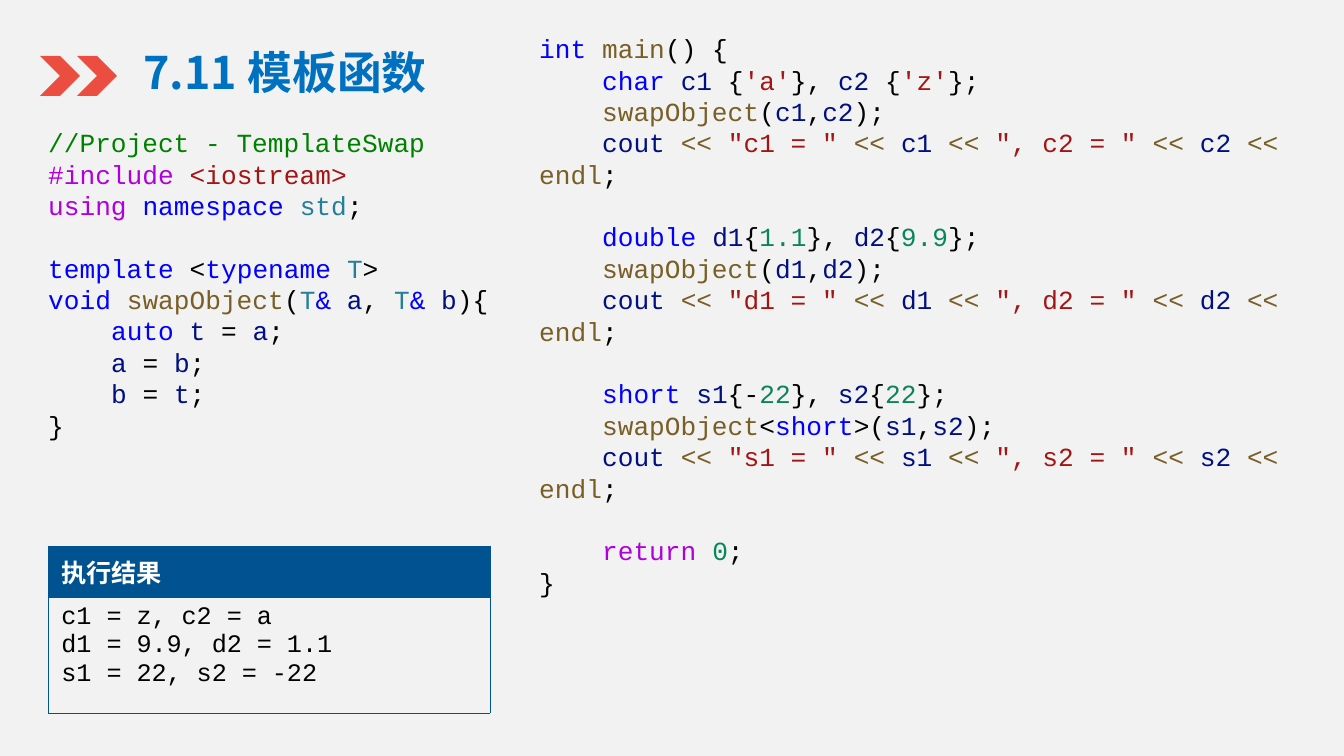
import pptx
import pptx.dml.color
import pptx.enum.shapes
import pptx.enum.text
import pptx.oxml
import pptx.oxml.ns
import pptx.util

EMU_PER_PX = 914400 / 134.4
CODE_FONT = "Courier New"
TITLE_FONT = "Noto Sans CJK JP"
CODE_LINE = pptx.util.Pt(16.8)
NAVY = "005390"

# One letter for each kind of code token.
TOKEN_COLORS = {
    "p": "000000",  # punctuation
    "k": "0000FF",  # keyword
    "d": "AF00DB",  # directive and control flow
    "f": "795E26",  # function and stream operator
    "v": "001080",  # variable
    "t": "267F99",  # type
    "s": "A31515",  # string
    "n": "098658",  # number
    "c": "008000",  # comment
}

TEMPLATE_CODE = [
    "~c//Project - TemplateSwap",
    "~d#include ~s<iostream>",
    "~dusing ~knamespace ~tstd~p;",
    "",
    "~ktemplate ~p<~ktypename ~tT~p>",
    "~kvoid ~fswapObject~p(~tT~k& ~va~p, ~tT~k& ~vb~p){",
    "~p    ~kauto ~vt~p = ~va~p;",
    "~p    ~va~p = ~vb~p;",
    "~p    ~vb~p = ~vt~p;",
    "~p}",
]


def px(value):
    return pptx.util.Emu(round(value * EMU_PER_PX))


def rgb(color):
    return pptx.dml.color.RGBColor.from_string(color)


def set_font(font, color, **values):
    font.color.rgb = rgb(color)
    for name, value in values.items():
        setattr(font, name, value)


def swap_test(declaration, name, template_argument=""):
    """Return the marked-up lines that swap and print one pair of variables."""
    first, second = name + "1", name + "2"
    return [
        f"~p    {declaration}",
        f"~p    ~fswapObject{template_argument}~p(~v{first}~p,~v{second}~p);",
        f'~p    ~vcout ~f<< ~s"{first} = " ~f<< ~v{first} ~f<< '
        f'~s", {second} = " ~f<< ~v{second} ~f<< endl~p;',
        "",
    ]


def add_title(slide, text, left, top, width, height):
    title = slide.shapes.title
    title.left, title.top, title.width, title.height = map(px, (left, top, width, height))
    frame = title.text_frame
    frame.vertical_anchor = pptx.enum.text.MSO_ANCHOR.MIDDLE
    paragraph = frame.paragraphs[0]
    paragraph.alignment = pptx.enum.text.PP_ALIGN.LEFT
    run = paragraph.add_run()
    run.text = text
    set_font(run.font, "0070C0", name=TITLE_FONT, size=pptx.util.Pt(24), bold=True)
    east_asian = pptx.oxml.parse_xml(
        f'<a:ea {pptx.oxml.ns.nsdecls("a")} typeface="{TITLE_FONT}"/>')
    run.font._element.find(pptx.oxml.ns.qn("a:latin")).addnext(east_asian)


def add_chevron(slide, left, top, size):
    chevron = slide.shapes.add_shape(
        pptx.enum.shapes.MSO_SHAPE.CHEVRON, px(left), px(top), px(size), px(size))
    chevron.shadow.inherit = False
    chevron.fill.solid()
    chevron.fill.fore_color.rgb = rgb("EB4D40")
    chevron.line.fill.background()


def add_code(slide, lines, left, top, width, height):
    """Add marked-up code; an empty line becomes space before the next one."""
    frame = slide.shapes.add_textbox(px(left), px(top), px(width), px(height)).text_frame
    frame.word_wrap = True
    frame.auto_size = pptx.enum.text.MSO_AUTO_SIZE.SHAPE_TO_FIT_TEXT
    paragraph = frame.paragraphs[0]
    for index, line in enumerate(lines):
        if not line:
            continue
        if index:
            paragraph = frame.add_paragraph()
            if not lines[index - 1]:
                paragraph.space_before = CODE_LINE
        paragraph.line_spacing = CODE_LINE
        for token in line.split("~")[1:]:
            run = paragraph.add_run()
            run.text = token[1:]
            set_font(run.font, TOKEN_COLORS[token[0]], name=CODE_FONT,
                     size=pptx.util.Pt(14))


def set_borders(cell, color):
    properties = cell._tc.get_or_add_tcPr()
    for index, side in enumerate(("lnL", "lnR", "lnT", "lnB")):
        properties.insert(index, pptx.oxml.parse_xml(
            f'<a:{side} {pptx.oxml.ns.nsdecls("a")} w="6350"><a:solidFill>'
            f'<a:srgbClr val="{color}"/></a:solidFill></a:{side}>'))


def add_result_table(slide, heading, results, left, top, width, row_heights):
    table = slide.shapes.add_table(
        2, 1, px(left), px(top), px(width), px(sum(row_heights))).table
    for row, height in zip(table.rows, row_heights):
        row.height = px(height)
    header, body = table.cell(0, 0), table.cell(1, 0)
    header.fill.solid()
    header.fill.fore_color.rgb = rgb(NAVY)
    header.vertical_anchor = pptx.enum.text.MSO_ANCHOR.MIDDLE
    body.fill.background()
    header.text = heading
    body.text = "\n".join(results)
    for cell, color, name, bold in ((header, "FFFFFF", "Arial", True),
                                    (body, "000000", CODE_FONT, False)):
        set_borders(cell, NAVY)
        for paragraph in cell.text_frame.paragraphs:
            set_font(paragraph.runs[0].font, color, name=name, bold=bold,
                     size=pptx.util.Pt(13.5))


def main():
    presentation = pptx.Presentation()
    presentation.slide_width, presentation.slide_height = px(1344), px(756)
    slide = presentation.slides.add_slide(presentation.slide_layouts[5])
    slide.background.fill.solid()
    slide.background.fill.fore_color.rgb = rgb("F2F2F2")

    add_title(slide, "7.11 模板函数", 130, 38, 649, 67)
    for left in (40, 77):
        add_chevron(slide, left, 56, 40)
    add_result_table(slide, "执行结果",
                     ["c1 = z, c2 = a", "d1 = 9.9, d2 = 1.1", "s1 = 22, s2 = -22"],
                     48, 546, 442, (51, 116))
    add_code(slide, TEMPLATE_CODE, 35, 120, 491, 425)
    main_code = [
        "~kint ~fmain~p() {",
        *swap_test("~kchar ~vc1~p {~s'a'~p}, ~vc2~p {~s'z'~p};", "c"),
        *swap_test("~kdouble ~vd1~p{~n1.1~p}, ~vd2~p{~n9.9~p};", "d"),
        *swap_test("~kshort ~vs1~p{-~n22~p}, ~vs2~p{~n22~p};", "s", "~p<~kshort~p>"),
        "~p    ~dreturn ~n0~p;",
        "~p}",
    ]
    add_code(slide, main_code, 526, 26, 789, 488)
    presentation.save("out.pptx")


if __name__ == "__main__":
    main()
